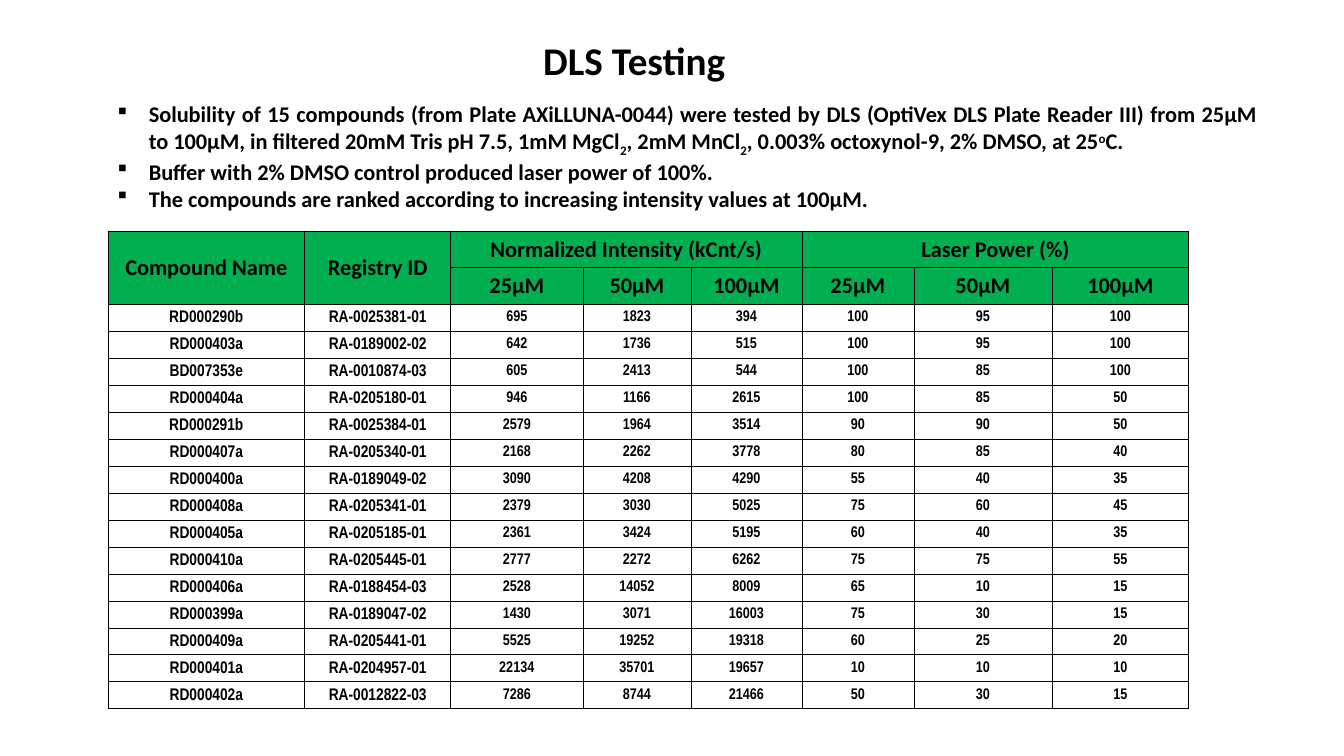
from dataclasses import dataclass

from lxml import etree
from pptx import Presentation
from pptx.dml.color import RGBColor
from pptx.enum.text import MSO_ANCHOR, MSO_AUTO_SIZE, PP_ALIGN
from pptx.oxml.ns import qn
from pptx.util import Cm, Pt

CENTER, JUSTIFY = PP_ALIGN.CENTER, PP_ALIGN.JUSTIFY
MIDDLE = MSO_ANCHOR.MIDDLE
FIT_SHAPE = MSO_AUTO_SIZE.SHAPE_TO_FIT_TEXT


@dataclass(frozen=True)
class Theme:
    ink: str = "000000"
    header_fill: str = "00B050"
    font: str = "Calibri"
    data_font: str = "Arial Narrow"
    title: int = 28
    body: int = 16
    name: int = 12
    value: int = 11
    border: float = 0.5
    sub: int = -25000
    sup: int = 30000


THEME = Theme()

TITLE = "DLS Testing"

# Each bullet is a list of (text, baseline) pieces
BULLETS = [
    [("Solubility of 15 compounds (from Plate AXiLLUNA-0044) were tested by DLS "
      "(OptiVex DLS Plate Reader III) from 25µM to 100µM, in filtered 20mM Tris "
      "pH 7.5, 1mM MgCl", 0),
     ("2", THEME.sub), (", 2mM MnCl", 0), ("2", THEME.sub),
     (", 0.003% octoxynol-9, 2% DMSO, at 25", 0), ("o", THEME.sup), ("C.", 0)],
    [("Buffer with 2% DMSO control produced laser power of 100%.", 0)],
    [("The compounds are ranked according to increasing intensity values at 100µM.", 0)],
]

ID_HEADERS = ["Compound Name", "Registry ID"]
GROUP_HEADERS = ["Normalized Intensity (kCnt/s)", "Laser Power (%)"]
DOSES = ["25µM", "50µM", "100µM"]
COL_WIDTHS = [4.96, 3.68, 3.33, 2.72, 2.8, 2.82, 3.48, 3.45]
HEADER_H, ROW_H = 0.92, 0.68

# Compound, ID, intensity at each dose, laser power at each dose
COMPOUNDS = [
    ("RD000290b", "RA-0025381-01", 695, 1823, 394, 100, 95, 100),
    ("RD000403a", "RA-0189002-02", 642, 1736, 515, 100, 95, 100),
    ("BD007353e", "RA-0010874-03", 605, 2413, 544, 100, 85, 100),
    ("RD000404a", "RA-0205180-01", 946, 1166, 2615, 100, 85, 50),
    ("RD000291b", "RA-0025384-01", 2579, 1964, 3514, 90, 90, 50),
    ("RD000407a", "RA-0205340-01", 2168, 2262, 3778, 80, 85, 40),
    ("RD000400a", "RA-0189049-02", 3090, 4208, 4290, 55, 40, 35),
    ("RD000408a", "RA-0205341-01", 2379, 3030, 5025, 75, 60, 45),
    ("RD000405a", "RA-0205185-01", 2361, 3424, 5195, 60, 40, 35),
    ("RD000410a", "RA-0205445-01", 2777, 2272, 6262, 75, 75, 55),
    ("RD000406a", "RA-0188454-03", 2528, 14052, 8009, 65, 10, 15),
    ("RD000399a", "RA-0189047-02", 1430, 3071, 16003, 75, 30, 15),
    ("RD000409a", "RA-0205441-01", 5525, 19252, 19318, 60, 25, 20),
    ("RD000401a", "RA-0204957-01", 22134, 35701, 19657, 10, 10, 10),
    ("RD000402a", "RA-0012822-03", 7286, 8744, 21466, 50, 30, 15),
]


def set_attrs(obj, values):
    for key, value in values.items():
        setattr(obj, key, value)


def add_run(p, text, size, font=THEME.font, baseline=0):
    r = p.add_run()
    r.text = text
    set_attrs(r.font, {"size": Pt(size), "name": font, "bold": True})
    r.font.color.rgb = RGBColor.from_string(THEME.ink)
    if baseline:
        r.font._element.set("baseline", str(baseline))


def set_bullet(p, margin, hanging):
    pPr = p._p.get_or_add_pPr()
    pPr.set("marL", str(Cm(margin)))
    pPr.set("indent", str(-Cm(hanging)))
    etree.SubElement(pPr, qn("a:buFont")).set("typeface", "Wingdings")
    etree.SubElement(pPr, qn("a:buChar")).set("char", "§")


def set_borders(cell):
    tcPr = cell._tc.get_or_add_tcPr()
    for i, side in enumerate(("a:lnL", "a:lnR", "a:lnT", "a:lnB")):
        ln = etree.Element(qn(side), w=str(Pt(THEME.border)))
        fill = etree.SubElement(ln, qn("a:solidFill"))
        etree.SubElement(fill, qn("a:srgbClr")).set("val", THEME.ink)
        tcPr.insert(i, ln)


def add_title(s, x, y, w, h):
    tf = s.shapes.add_textbox(Cm(x), Cm(y), Cm(w), Cm(h)).text_frame
    set_attrs(tf, {"word_wrap": False, "auto_size": FIT_SHAPE})
    add_run(tf.paragraphs[0], TITLE, THEME.title)


def add_bullets(s, x, y, w, h):
    tf = s.shapes.add_textbox(Cm(x), Cm(y), Cm(w), Cm(h)).text_frame
    set_attrs(tf, {"word_wrap": True, "auto_size": FIT_SHAPE})
    for i, pieces in enumerate(BULLETS):
        p = tf.add_paragraph() if i else tf.paragraphs[0]
        set_attrs(p, {"alignment": JUSTIFY, "level": 1})
        set_bullet(p, 1.75, 0.79)
        for text, baseline in pieces:
            add_run(p, text, THEME.body, baseline=baseline)


def fill_cell(cell, text, size, font):
    p = cell.text_frame.paragraphs[0]
    p.alignment = CENTER
    add_run(p, str(text), size, font)


def add_results_table(s, x, y):
    heights = [HEADER_H] * 2 + [ROW_H] * len(COMPOUNDS)
    tbl = s.shapes.add_table(len(heights), len(COL_WIDTHS), Cm(x), Cm(y),
                             Cm(sum(COL_WIDTHS)), Cm(sum(heights))).table
    set_attrs(tbl, {"first_row": False, "horz_banding": False})
    for col, width in zip(tbl.columns, COL_WIDTHS):
        col.width = Cm(width)

    # Cell frame and fill
    for r, height in enumerate(heights):
        tbl.rows[r].height = Cm(height)
        for c in range(len(COL_WIDTHS)):
            cell = tbl.cell(r, c)
            set_attrs(cell, {"vertical_anchor": MIDDLE, "margin_left": Cm(0.02),
                             "margin_right": Cm(0.02), "margin_top": Cm(0.02),
                             "margin_bottom": 0})
            if r < 2:
                cell.fill.solid()
                cell.fill.fore_color.rgb = RGBColor.from_string(THEME.header_fill)
            else:
                cell.fill.background()
            set_borders(cell)

    # Two-level header
    for c, text in enumerate(ID_HEADERS):
        tbl.cell(0, c).merge(tbl.cell(1, c))
        fill_cell(tbl.cell(0, c), text, THEME.body, THEME.font)
    for g, text in enumerate(GROUP_HEADERS):
        first = len(ID_HEADERS) + g * len(DOSES)
        tbl.cell(0, first).merge(tbl.cell(0, first + len(DOSES) - 1))
        fill_cell(tbl.cell(0, first), text, THEME.body, THEME.font)
        for c, dose in enumerate(DOSES, first):
            fill_cell(tbl.cell(1, c), dose, THEME.body, THEME.font)

    # Compound rows
    for r, compound in enumerate(COMPOUNDS, 2):
        for c, value in enumerate(compound):
            size = THEME.name if c < len(ID_HEADERS) else THEME.value
            fill_cell(tbl.cell(r, c), value, size, THEME.data_font)


def main():
    prs = Presentation()
    set_attrs(prs, {"slide_width": Cm(33.87), "slide_height": Cm(19.05)})
    s = prs.slides.add_slide(prs.slide_layouts[6])
    add_bullets(s, 1.75, 2.41, 30.2, 3)
    add_results_table(s, 2.72, 5.82)
    add_title(s, 13.44, 0.79, 5.16, 1.45)
    prs.save("out.pptx")


if __name__ == "__main__":
    main()
